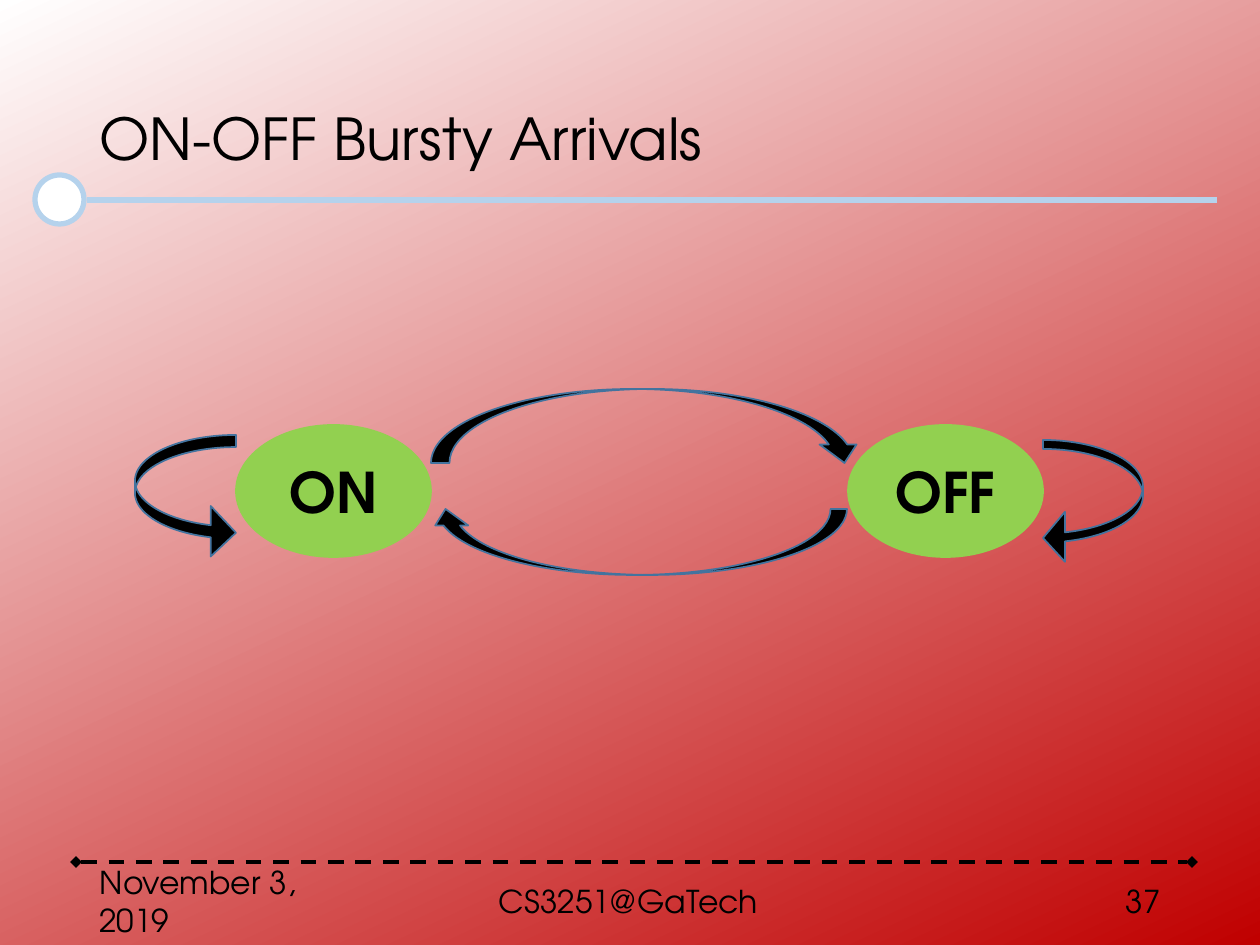
from lxml import etree
from pptx import Presentation, util as u
from pptx.dml.color import RGBColor
from pptx.enum import dml, shapes, text
from pptx.oxml import ns

FONT = "TeX Gyre Adventor"
SCALE = 914400 / 126


def px(*lengths):
    """Turn pixel lengths into EMU."""
    return [u.Emu(round(length * SCALE)) for length in lengths]


def paint(color, value):
    color.rgb = RGBColor.from_string(value)


presentation = Presentation()
presentation.slide_width, presentation.slide_height = px(1260, 945)
slide = presentation.slides.add_slide(presentation.slide_layouts[6])

background = slide.background.fill
background.gradient()
background.gradient_angle = 360 - 65  # counter-clockwise
for stop, value in zip(background.gradient_stops, ("FFFFFF", "C00000")):
    paint(stop.color, value)

# Title rule and footer rule
rules = []
for left, right, y, value, width in (
    (87, 1217, 200, "B5D2EC", 3),
    (76, 1192, 862, "000000", 2.25),
):
    rule = slide.shapes.add_connector(
        shapes.MSO_CONNECTOR.STRAIGHT, *px(left, y, right, y))
    paint(rule.line.color, value)
    rule.line.width = u.Pt(width)
    etree.SubElement(rule._element.spPr, ns.qn("a:effectLst"))
    rules.append(rule)

footer_line = rules[1].line
footer_line.dash_style = dml.MSO_LINE.DASH
for end in ("a:headEnd", "a:tailEnd"):
    etree.SubElement(footer_line._get_or_add_ln(), ns.qn(end), type="diamond")

# Ellipses: the bullet of the title rule and the two states
for label, left, top, width, height, fill, line, weight in (
    ("", 35, 175, 49, 49, "FFFFFF", "B5D2EC", 3),
    ("ON", 236, 425, 195, 132, "92D050", "92D050", 1),
    ("OFF", 848, 425, 195, 132, "92D050", "92D050", 1),
):
    ellipse = slide.shapes.add_shape(
        shapes.MSO_SHAPE.OVAL, *px(left, top, width, height))
    ellipse.shadow.inherit = False
    ellipse.fill.solid()
    paint(ellipse.fill.fore_color, fill)
    paint(ellipse.line.color, line)
    ellipse.line.width = u.Pt(weight)
    if label:
        frame = ellipse.text_frame
        frame.vertical_anchor = text.MSO_ANCHOR.MIDDLE
        paragraph = frame.paragraphs[0]
        paragraph.text = label
        paragraph.alignment = text.PP_ALIGN.CENTER
        font = paragraph.font
        font.name, font.size, font.bold = FONT, u.Pt(32), True
        paint(font.color, "000000")

# Title and footer texts
LEFT, CENTER, RIGHT = (
    text.PP_ALIGN.LEFT, text.PP_ALIGN.CENTER, text.PP_ALIGN.RIGHT)
for label, left, top, width, height, size, alignment in (
    ("ON-OFF Bursty Arrivals", 87, 50, 1086, 183, 33, LEFT),
    ("November 3, 2019", 87, 876, 284, 50, 18, LEFT),
    ("CS3251@GaTech", 304, 876, 649, 50, 18, CENTER),
    ("37", 889, 876, 284, 50, 18, RIGHT),
):
    box = slide.shapes.add_textbox(*px(left, top, width, height))
    frame = box.text_frame
    frame.word_wrap = True
    frame.vertical_anchor = text.MSO_ANCHOR.MIDDLE
    paragraph = frame.paragraphs[0]
    paragraph.text = label
    paragraph.alignment = alignment
    paragraph.font.name = FONT
    paragraph.font.size = u.Pt(size)
    paint(paragraph.font.color, "000000")
    if size == 33:
        paragraph.line_spacing = 0.9
        run_properties = paragraph.runs[0].font._element
        effects = etree.SubElement(run_properties, ns.qn("a:effectLst"))
        shadow = etree.SubElement(
            effects, ns.qn("a:outerShdw"),
            blurRad="38100", dist="38100", dir="2700000", algn="tl")
        shadow_color = etree.SubElement(
            shadow, ns.qn("a:srgbClr"), val="000000")
        etree.SubElement(shadow_color, ns.qn("a:alpha"), val="43000")

# Transitions between the states
for kind, left, top, width, height, rotation, adjustments in (
    (shapes.MSO_SHAPE.CURVED_RIGHT_ARROW, 135, 435, 101, 123, 0,
     (0.12, 0.5, 0.25)),
    (shapes.MSO_SHAPE.CURVED_DOWN_ARROW, 431, 389, 432, 74, 0, ()),
    (shapes.MSO_SHAPE.CURVED_LEFT_ARROW, 605, 333, 66, 418, 90, ()),
    (shapes.MSO_SHAPE.CURVED_LEFT_ARROW, 1043, 440, 100, 123, 0,
     (0.09, 0.5, 0.22)),
):
    arrow = slide.shapes.add_shape(kind, *px(left, top, width, height))
    arrow.shadow.inherit = False
    arrow.rotation = rotation
    for index, value in enumerate(adjustments):
        arrow.adjustments[index] = value
    arrow.fill.solid()
    paint(arrow.fill.fore_color, "000000")
    paint(arrow.line.color, "43739E")
    arrow.line.width = u.Pt(1)

presentation.save("out.pptx")
